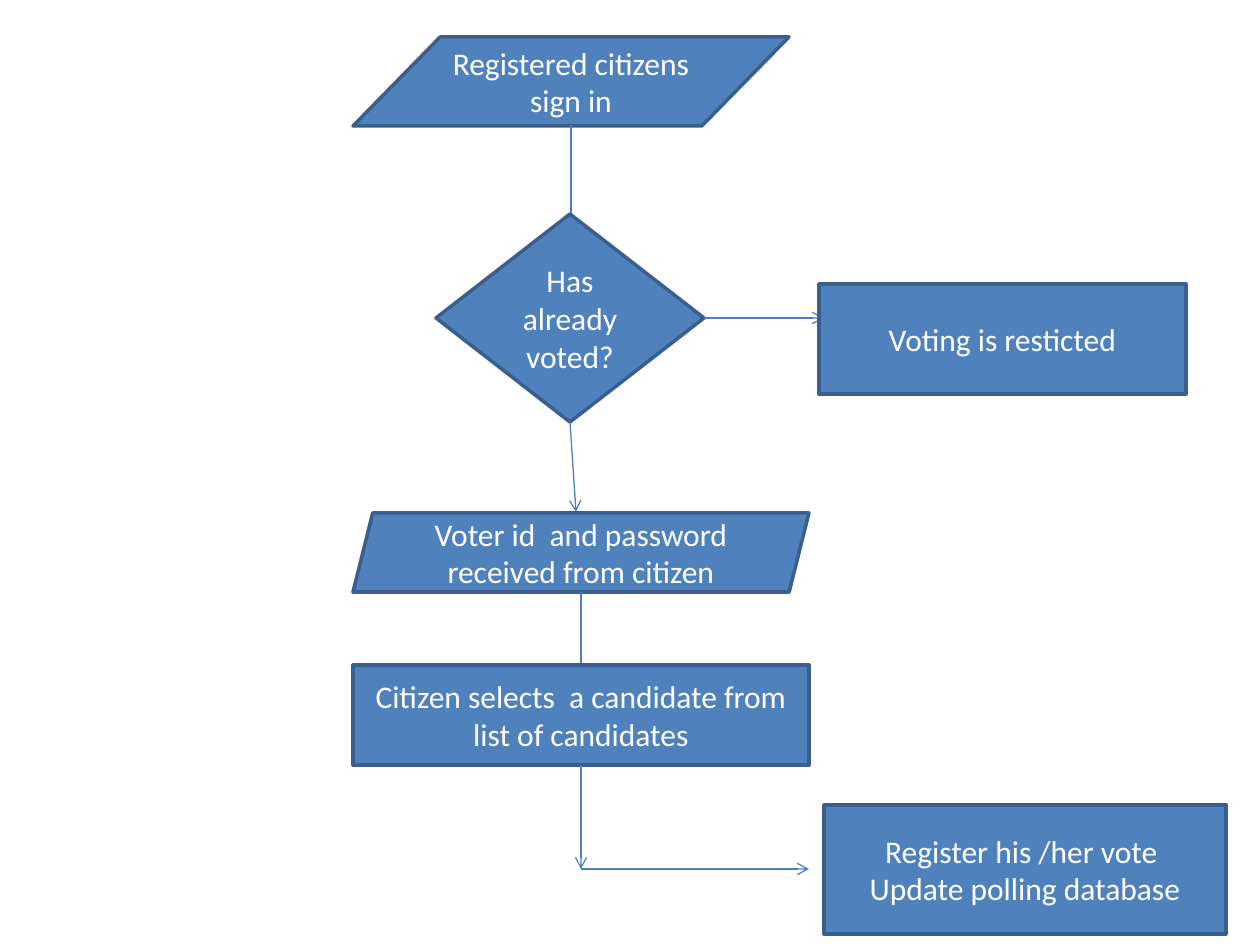
from lxml.etree import SubElement
from pptx import Presentation
from pptx.dml.color import RGBColor
from pptx.enum.shapes import MSO_CONNECTOR, MSO_SHAPE as Shape
from pptx.enum.text import MSO_ANCHOR, PP_ALIGN
from pptx.oxml.ns import qn
from pptx.util import Emu, Pt

PX = 914400 / 126
BOTTOM, RIGHT = 2, 3

STEPS = [
    dict(key="sign in", kind=Shape.FLOWCHART_DATA, box=(353, 37, 436, 89),
         lines=["Registered citizens sign in"],
         arrows=[((571, 125), (571, 234), None)]),
    dict(key="voted", kind=Shape.DIAMOND, box=(436, 214, 268, 208),
         lines=["Has already voted?"],
         arrows=[((704, 318), (824, 318), RIGHT), ((570, 422), (576, 512), BOTTOM)]),
    dict(key="credentials", kind=Shape.PARALLELOGRAM, box=(353, 513, 456, 79),
         lines=["Voter id  and password received from citizen"],
         arrows=[((581, 592), (581, 680), None)]),
    dict(key="select", kind=Shape.RECTANGLE, box=(353, 665, 456, 100),
         lines=["Citizen selects  a candidate from list of candidates"],
         arrows=[((581, 765), (581, 869), BOTTOM), ((581, 869), (809, 869), None)]),
    dict(key="restricted", kind=Shape.RECTANGLE, box=(819, 284, 367, 110),
         lines=["Voting is resticted"], arrows=[]),
    dict(key="register", kind=Shape.RECTANGLE, box=(824, 805, 402, 129),
         lines=["Register his /her vote ", "Update polling database"], arrows=[]),
]


def px(*lengths):
    return [Emu(round(length * PX)) for length in lengths]


def color(value):
    return RGBColor.from_string(value)


def write(frame, lines, size=18, font="Calibri", ink="FFFFFF"):
    frame.word_wrap = True
    frame.vertical_anchor = MSO_ANCHOR.MIDDLE
    for index, line in enumerate(lines):
        paragraph = frame.add_paragraph() if index else frame.paragraphs[0]
        paragraph.alignment = PP_ALIGN.CENTER
        run = paragraph.add_run()
        run.text = line
        run.font.size, run.font.name = Pt(size), font
        run.font.color.rgb = color(ink)


def add_step(slide, kind, box, lines):
    step = slide.shapes.add_shape(kind, *px(*box))
    step.shadow.inherit = False
    step.fill.solid()
    step.fill.fore_color.rgb = color("4F81BD")
    step.line.color.rgb = color("3A5F8C")
    step.line.width = Pt(2)
    write(step.text_frame, lines)
    return step


def add_arrow(slide, start, end, source, side):
    arrow = slide.shapes.add_connector(MSO_CONNECTOR.STRAIGHT, *px(*start, *end))
    if side is not None:
        arrow.begin_connect(source, side)
    arrow.line.color.rgb = color("4B7EBC")
    arrow.line.width = Pt(0.75)
    SubElement(arrow.line._get_or_add_ln(), qn("a:tailEnd"), type="arrow")
    SubElement(arrow._element.spPr, qn("a:effectLst"))


def main():
    """Build the voting flowchart slide."""
    deck = Presentation()
    deck.slide_width, deck.slide_height = px(1260, 945)
    slide = deck.slides.add_slide(deck.slide_layouts[6])
    for entry in STEPS:
        step = add_step(slide, entry["kind"], entry["box"], entry["lines"])
        for start, end, side in entry["arrows"]:
            add_arrow(slide, start, end, step, side)
    deck.save("out.pptx")


if __name__ == "__main__":
    main()
